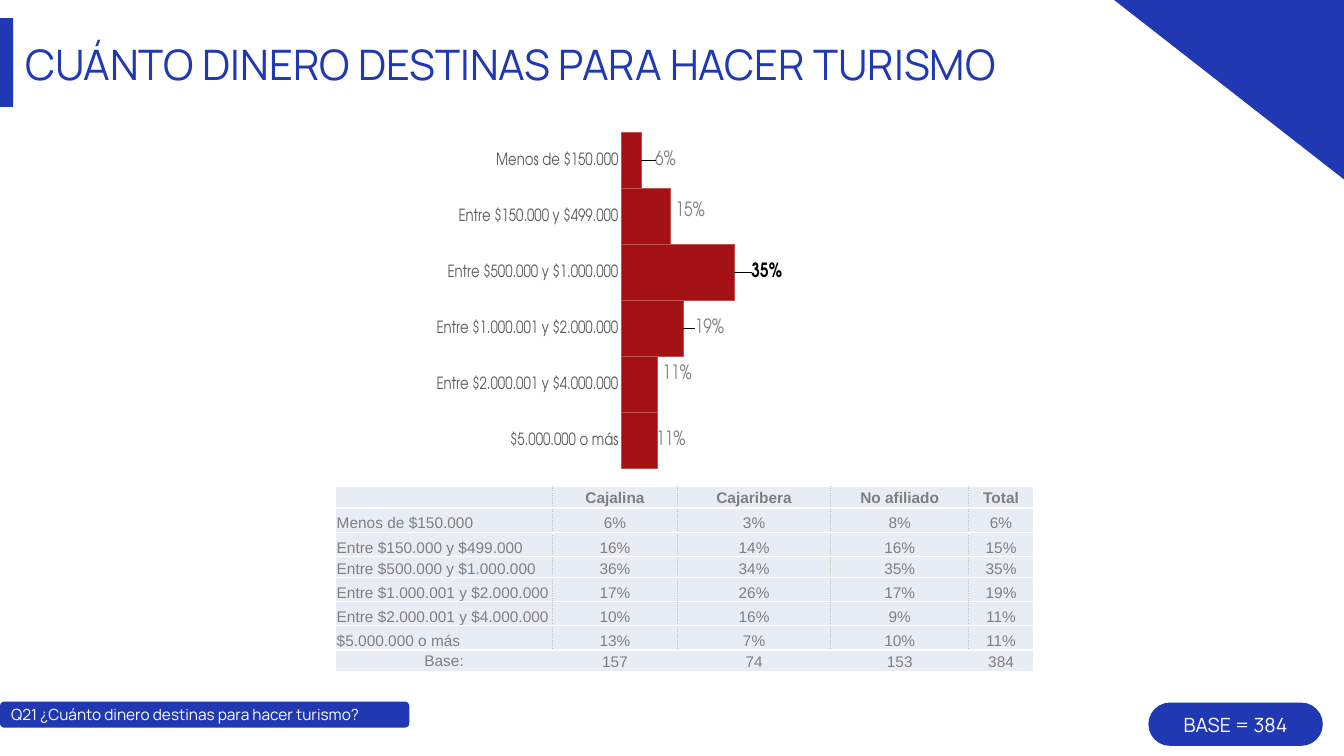
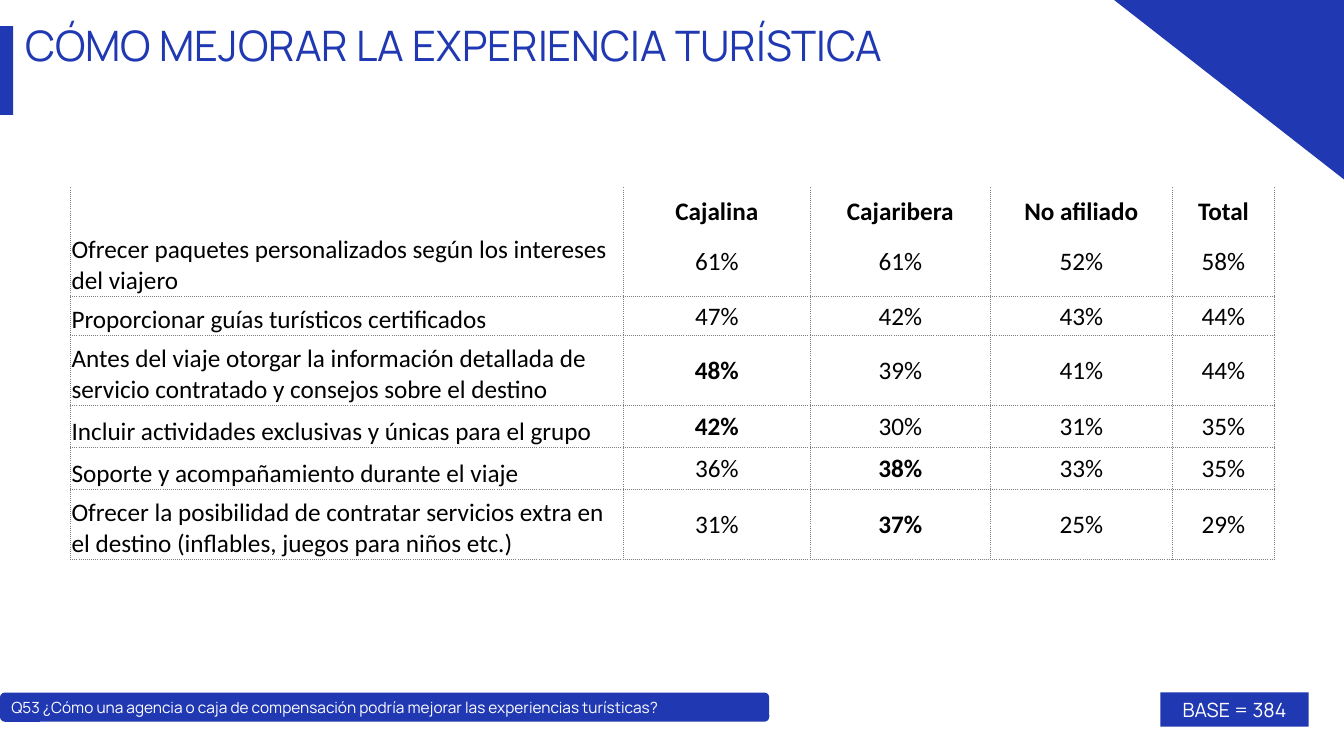
from pptx import Presentation
from pptx.chart.data import CategoryChartData
from pptx.dml.color import RGBColor
from pptx.enum.chart import XL_CHART_TYPE, XL_LABEL_POSITION, XL_TICK_LABEL_POSITION, XL_TICK_MARK
from pptx.enum.shapes import MSO_SHAPE
from pptx.enum.text import MSO_ANCHOR, PP_ALIGN
from pptx.oxml import parse_xml
from pptx.oxml.ns import nsdecls
from pptx.util import Inches, Pt

RECTANGLE, ROUNDED = MSO_SHAPE.RECTANGLE, MSO_SHAPE.ROUNDED_RECTANGLE
LEFT, CENTER = PP_ALIGN.LEFT, PP_ALIGN.CENTER
TOP, MIDDLE, BOTTOM = MSO_ANCHOR.TOP, MSO_ANCHOR.MIDDLE, MSO_ANCHOR.BOTTOM
INSIDE_END = XL_LABEL_POSITION.INSIDE_END
NO_TICKS = XL_TICK_MARK.NONE

COLORS = {
    "blue": "2038B2", "white": "FFFFFF", "black": "000000", "red": "A31115",
    "bar_line": "C0504D", "axis": "D9D9D9", "axis_text": "595959",
    "label": "808080", "cell": "E8ECF4", "cell_text": "7F7F7F",
    "divider": "BFBFBF", "grid": "7F7F7F",
}
TITLE_FONT, CHART_FONT = "Manrope", "TeX Gyre Adventor"
NO_TABLE_STYLE = "{2D5ABB26-0587-4C30-8999-92F81FD0307C}"

# Content
HEADER = ["", "Cajalina", "Cajaribera", "No afiliado", "Total"]
BASE = "BASE = 384"
FRAMES = [
    {"title": "CUÁNTO DINERO DESTINAS PARA HACER TURISMO", "title_top": 0.37, "accent_top": 0.18,
     "question": "Q21 ¿Cuánto dinero destinas para hacer turismo?",
     "question_box": (0, 6.96, 4.06, 0.26),
     "base_box": (11.39, 6.97, 1.73, 0.43), "base_kind": ROUNDED},
    {"title": "CÓMO MEJORAR LA EXPERIENCIA TURÍSTICA", "title_top": 0.18, "accent_top": 0.26,
     "question": "Q53 ¿Cómo una agencia o caja de compensación podría mejorar las experiencias turísticas?",
     "question_box": (0, 6.87, 7.63, 0.29),
     "base_box": (11.51, 6.87, 1.47, 0.34), "base_kind": RECTANGLE},
]
# Range, share per group (%), total share (%), label shift across and down
SPENDING = [
    ("Menos de $150.000", (6, 3, 8), 6, (0.06, 0)),
    ("Entre $150.000 y $499.000", (16, 14, 16), 15, (0.06, -0.01)),
    ("Entre $500.000 y $1.000.000", (36, 34, 35), 35, (0.08, 0)),
    ("Entre $1.000.001 y $2.000.000", (17, 26, 17), 19, (0.07, 0)),
    ("Entre $2.000.001 y $4.000.000", (10, 16, 9), 11, (0.06, -0.02)),
    ("$5.000.000 o más", (13, 7, 10), 11, (0.05, 0)),
]
SPENDING_BASE = ["Base:", "157", "74", "153", "384"]
HIGHLIGHT = 2
IMPROVEMENTS = [
    ("Ofrecer paquetes personalizados según los intereses del viajero", (61, 61, 52, 58)),
    ("Proporcionar guías turísticos certificados", (47, 42, 43, 44)),
    ("Antes del viaje otorgar la información detallada de servicio contratado y consejos "
     "sobre el destino", (48, 39, 41, 44)),
    ("Incluir actividades exclusivas y únicas para el grupo", (42, 30, 31, 35)),
    ("Soporte y acompañamiento durante el viaje", (36, 38, 33, 35)),
    ("Ofrecer la posibilidad de contratar servicios extra en el destino (inflables, juegos "
     "para niños etc.)", (31, 37, 25, 29)),
]
STRONG_CELLS = {(3, 1), (4, 1), (5, 2), (6, 2)}


def rgb(name):
    return RGBColor.from_string(COLORS[name])


def inches(values):
    return [Inches(value) for value in values]


def set_font(font, color, **values):
    for name, value in values.items():
        setattr(font, name, value)
    font.color.rgb = rgb(color)


def write(frame, text, align, anchor, margins, color, **font):
    frame.word_wrap = True
    frame.vertical_anchor = anchor
    for side, margin in zip(("left", "top", "right", "bottom"), margins):
        setattr(frame, f"margin_{side}", Inches(margin))
    paragraph = frame.paragraphs[0]
    paragraph.alignment = align
    run = paragraph.add_run()
    run.text = text
    set_font(run.font, color, **font)


def paint(shape):
    shape.shadow.inherit = False
    shape.fill.solid()
    shape.fill.fore_color.rgb = rgb("blue")
    shape.line.fill.background()


def add_block(slide, kind, box, corner=None):
    shape = slide.shapes.add_shape(kind, *inches(box))
    paint(shape)
    if kind == ROUNDED:
        shape.adjustments[0] = corner
    return shape


def add_frame(slide, frame):
    # Corner triangle and accent bar
    builder = slide.shapes.build_freeform(Inches(13.33), 0, scale=1.0)
    builder.add_line_segments([(Inches(11.05), 0), (Inches(13.33), Inches(1.78))])
    paint(builder.convert_to_shape())
    add_block(slide, RECTANGLE, (0, frame["accent_top"], 0.13, 0.88))
    # Title
    title = slide.shapes.add_textbox(*inches((0.25, frame["title_top"], 10.64, 0.52)))
    write(title.text_frame, frame["title"], LEFT, TOP, (0, 0.01, 0, 0), "blue",
          name=TITLE_FONT, size=Pt(30))
    # Question band and base badge
    margins = (0.1, 0, 0.1, 0)
    question = add_block(slide, ROUNDED, frame["question_box"], 0.17)
    write(question.text_frame, frame["question"], LEFT, MIDDLE, margins, "white",
          name=TITLE_FONT, size=Pt(11))
    base = add_block(slide, frame["base_kind"], frame["base_box"], 0.5)
    write(base.text_frame, BASE, CENTER, MIDDLE, margins, "white", name=TITLE_FONT, size=Pt(14))


def manual_layout(**values):
    items = "".join(f'<c:{name} val="{value}"/>' for name, value in values.items())
    return parse_xml(f'<c:layout {nsdecls("c")}><c:manualLayout>{items}</c:manualLayout></c:layout>')


def add_spending_chart(slide):
    totals = [total / 100 for _, _, total, _ in SPENDING]
    data = CategoryChartData(number_format="0%")
    data.categories = [label for label, _, _, _ in SPENDING]
    data.add_series("Series 1", totals)
    data.add_series("Series 2", [round(1 - total, 2) for total in totals])
    chart = slide.shapes.add_chart(
        XL_CHART_TYPE.BAR_STACKED_100, *inches((4.33, 1, 8, 4.83)), data).chart
    chart.has_legend = chart.has_title = False
    set_font(chart.font, "black", name="Arial", size=Pt(10))
    plot = chart.plots[0]
    plot.gap_width, plot.overlap, plot.vary_by_categories = 0, 85, False

    # Axes and plot area
    for axis, font in ((chart.category_axis, CHART_FONT), (chart.value_axis, "Arial")):
        axis.major_tick_mark = axis.minor_tick_mark = NO_TICKS
        axis.has_major_gridlines = False
        set_font(axis.tick_labels.font, "axis_text", name=font, size=Pt(12))
    chart.category_axis.reverse_order = True
    chart.category_axis.format.line.color.rgb = rgb("axis")
    chart.category_axis.format.line.width = Pt(0.75)
    chart.value_axis.tick_label_position = XL_TICK_LABEL_POSITION.NONE
    chart.value_axis.format.line.fill.background()
    plot_area = chart._chartSpace.xpath("c:chart/c:plotArea")[0]
    for layout in plot_area.xpath("c:layout"):
        plot_area.remove(layout)
    plot_area.insert(0, manual_layout(layoutTarget="inner", xMode="edge", yMode="edge",
                                      x=0.02, y=0.065, w=0.51, h=0.69))

    # Visible bars, transparent remainder
    bars, remainder = plot.series
    bars.format.fill.solid()
    bars.format.fill.fore_color.rgb = rgb("red")
    bars.format.line.color.rgb = rgb("bar_line")
    bars.format.line.width = Pt(0.75)
    remainder.format.fill.background()
    remainder.format.line.fill.background()

    # Value labels, shifted beyond the bar ends
    labels = bars.data_labels
    labels.show_value, labels.position = True, INSIDE_END
    labels.number_format, labels.number_format_is_linked = "0%", False
    set_font(labels.font, "label", name=CHART_FONT, size=Pt(14))
    for index in range(len(SPENDING)):
        label = bars.points[index].data_label
        strong = index == HIGHLIGHT
        set_font(label.font, "black" if strong else "label", name=CHART_FONT,
                 size=Pt(14), bold=strong)
        label.position = INSIDE_END
    for element, (_, _, _, (x, y)) in zip(bars._element.xpath("c:dLbls/c:dLbl"), SPENDING):
        element.insert(1, manual_layout(x=x, y=y))


def set_borders(cell, borders):
    properties = cell._tc.get_or_add_tcPr()
    for side in "LRTB":
        if side in borders:
            color, width, dash = borders[side]
            properties.append(parse_xml(
                f'<a:ln{side} {nsdecls("a")} w="{Pt(width)}"><a:solidFill>'
                f'<a:srgbClr val="{COLORS[color]}"/></a:solidFill>'
                f'<a:prstDash val="{dash}"/></a:ln{side}>'))


def add_grid(slide, origin, widths, heights, rows, cell_format):
    """cell_format gives (align, anchor, borders, fill, bold) for a row and column."""
    size = (sum(widths), sum(heights))
    table = slide.shapes.add_table(len(rows), len(widths), *inches(origin + size)).table
    table.first_row = table.horz_banding = False
    table._tbl.xpath("a:tblPr/a:tableStyleId")[0].text = NO_TABLE_STYLE
    for lines, name, values in ((table.columns, "width", widths), (table.rows, "height", heights)):
        for line, value in zip(lines, values):
            setattr(line, name, Inches(value))
    for row, texts in enumerate(rows):
        for column, text in enumerate(texts):
            yield_cell(table.cell(row, column), text, *cell_format(row, column))


def yield_cell(cell, text, align, anchor, borders, fill, font):
    set_borders(cell, borders)
    if fill:
        cell.fill.solid()
        cell.fill.fore_color.rgb = rgb(fill)
    else:
        cell.fill.background()
    cell.vertical_anchor = anchor
    cell.margin_left = cell.margin_top = cell.margin_right = Inches(0.01)
    cell.margin_bottom = 0
    paragraph = cell.text_frame.paragraphs[0]
    paragraph.alignment = align
    if text:
        run = paragraph.add_run()
        run.text = text
        set_font(run.font, **font)
    else:
        # Keeps an empty cell from stretching its row
        paragraph._p.get_or_add_endParaRPr().set("sz", str(int(font["size"].pt * 100)))


def spending_format(row, column):
    white, divider = ("white", 1, "solid"), ("divider", 1, "dot")
    last_row, last_column = len(SPENDING) + 1, len(HEADER) - 1
    borders = {"T": white, "B": white}
    if column == 0 or row < last_row:
        borders["L"] = white if column == 0 else divider
    if column == last_column or row < last_row:
        borders["R"] = white if column == last_column else divider
    centered = column > 0 or row == last_row
    middle = row == 0 or (row == last_row and column == 0)
    font = {"name": "Arial", "size": Pt(11), "color": "cell_text", "bold": row == 0}
    return CENTER if centered else LEFT, MIDDLE if middle else BOTTOM, borders, "cell", font


def improvement_format(row, column):
    last_row = len(IMPROVEMENTS) + 1
    sides = "LR" if row == 0 else "T" if row == last_row else "LRB" if row == 1 else "LRTB"
    borders = dict.fromkeys(sides, ("grid", 0.75, "dot"))
    font = {"name": "Calibri", "size": Pt(18), "color": "black",
            "bold": row == 0 or (row, column) in STRONG_CELLS}
    anchor = BOTTOM if row == 0 or column == 0 else MIDDLE
    return CENTER if column else LEFT, anchor, borders, None, font


def percents(values):
    return [f"{value}%" for value in values]


def main():
    presentation = Presentation()
    presentation.slide_width, presentation.slide_height = inches((13.33, 7.5))
    blank = presentation.slide_layouts[6]
    spending_slide, improvement_slide = (presentation.slides.add_slide(blank) for _ in FRAMES)

    # Spending: chart and table
    add_spending_chart(spending_slide)
    rows = [[label, *percents((*groups, total))] for label, groups, total, _ in SPENDING]
    add_grid(spending_slide, (3.33, 4.83), (2.15, 1.24, 1.52, 1.37, 0.64),
             (0.21, 0.24, 0.24, 0.21, 0.24, 0.24, 0.24, 0.21),
             [HEADER, *rows, SPENDING_BASE], spending_format)

    # Improvements: table with an empty closing row
    rows = [[label, *percents(values)] for label, values in IMPROVEMENTS]
    add_grid(improvement_slide, (0.7, 1.86), (5.48, 1.86, 1.78, 1.81, 1.01),
             (0.39, 0.69, 0.39, 0.69, 0.42, 0.42, 0.69, 0.39),
             [HEADER, *rows, [""] * len(HEADER)], improvement_format)

    for slide, frame in zip((spending_slide, improvement_slide), FRAMES):
        add_frame(slide, frame)
    presentation.save("out.pptx")


if __name__ == "__main__":
    main()
